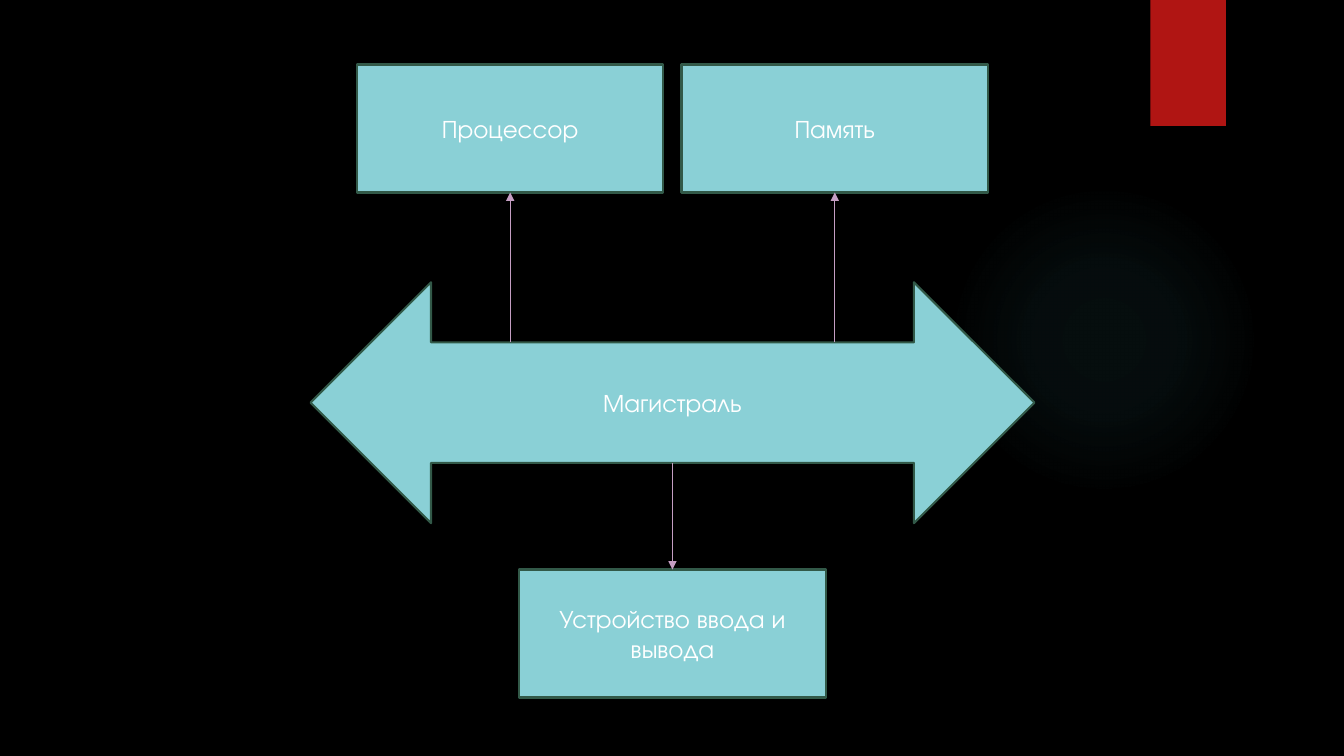
from dataclasses import dataclass

from lxml import etree
from pptx import Presentation
from pptx.dml.color import RGBColor
from pptx.enum.shapes import MSO_CONNECTOR, MSO_SHAPE
from pptx.enum.text import MSO_ANCHOR, PP_ALIGN
from pptx.oxml import parse_xml
from pptx.oxml.ns import nsdecls, qn
from pptx.util import Inches, Pt

RECTANGLE = MSO_SHAPE.RECTANGLE
DOUBLE_ARROW = MSO_SHAPE.LEFT_RIGHT_ARROW
OVAL = MSO_SHAPE.OVAL
STRAIGHT = MSO_CONNECTOR.STRAIGHT
MIDDLE = MSO_ANCHOR.MIDDLE
CENTER = PP_ALIGN.CENTER

COLORS = {
    "background": "000000",
    "glow": "50B9C1",
    "ribbon": "B01513",
    "block": "8AD0D6",
    "outline": "325948",
    "link": "C59EC3",
    "text": "FFFFFF",
}
FONT = "TeX Gyre Adventor"

BOX_WIDTH, BOX_HEIGHT = 3.04, 1.27
TOP_ROW, BOTTOM_ROW = 0.64, 5.65
BUS_TOP, BUS_HEIGHT = 2.8, 2.39


@dataclass
class Block:
    text: str
    left: float
    top: float
    width: float = BOX_WIDTH
    height: float = BOX_HEIGHT
    kind: int = RECTANGLE


@dataclass
class Link:
    x: float
    start: float
    end: float


BLOCKS = [
    Block("Магистраль", 3.08, BUS_TOP, 7.18, BUS_HEIGHT, DOUBLE_ARROW),
    Block("Процессор", 3.54, TOP_ROW),
    Block("Память", 6.76, TOP_ROW),
    Block("Устройство ввода и вывода", 5.15, BOTTOM_ROW),
]

# The shaft of the bus arrow takes the middle half of its height
SHAFT_TOP = BUS_TOP + BUS_HEIGHT / 4
SHAFT_BOTTOM = BUS_TOP + BUS_HEIGHT * 3 / 4
LINKS = [
    Link(5.06, SHAFT_TOP, TOP_ROW + BOX_HEIGHT),
    Link(8.28, SHAFT_TOP, TOP_ROW + BOX_HEIGHT),
    Link(6.67, SHAFT_BOTTOM, BOTTOM_ROW),
]


def color(name: str) -> RGBColor:
    return RGBColor.from_string(COLORS[name])


def add_plain_shape(slide, kind, left: float, top: float, width: float,
                    height: float, fill: str):
    shape = slide.shapes.add_shape(
        kind, Inches(left), Inches(top), Inches(width), Inches(height))
    shape.shadow.inherit = False
    shape.fill.solid()
    shape.fill.fore_color.rgb = color(fill)
    shape.line.fill.background()
    return shape


def write_text(shape, text: str, *, size: float = 18, font: str = FONT,
               fill: str = "text", align=CENTER, anchor=MIDDLE) -> None:
    frame = shape.text_frame
    frame.word_wrap = True
    frame.vertical_anchor = anchor
    paragraph = frame.paragraphs[0]
    paragraph.alignment = align
    run = paragraph.add_run()
    run.text = text
    run.font.size = Pt(size)
    run.font.name = font
    run.font.color.rgb = color(fill)


def add_glow(slide) -> None:
    """Draw the faint circle that fades out towards its edge."""
    shape = add_plain_shape(slide, OVAL, 9.41, 1.83, 3.08, 3.08, "glow")
    stops = "".join(
        f'<a:gs pos="{position * 1000}"><a:srgbClr val="{COLORS["glow"]}">'
        f'<a:alpha val="{alpha * 1000}"/></a:srgbClr></a:gs>'
        for position, alpha in ((0, 7), (36, 6), (69, 0)))
    gradient = parse_xml(
        f'<a:gradFill {nsdecls("a")} rotWithShape="1"><a:gsLst>{stops}</a:gsLst>'
        '<a:path path="circle"><a:fillToRect l="50000" t="50000" r="50000" '
        'b="50000"/></a:path></a:gradFill>')
    properties = shape.element.spPr
    properties.replace(properties.find(qn("a:solidFill")), gradient)


def add_block(slide, block: Block) -> None:
    shape = add_plain_shape(slide, block.kind, block.left, block.top,
                            block.width, block.height, "block")
    shape.line.color.rgb = color("outline")
    shape.line.width = Pt(1.5)
    write_text(shape, block.text)


def add_link(slide, link: Link) -> None:
    connector = slide.shapes.add_connector(
        STRAIGHT, Inches(link.x), Inches(link.start),
        Inches(link.x), Inches(link.end))
    connector.line.color.rgb = color("link")
    connector.line.width = Pt(0.75)
    properties = connector.element.spPr
    etree.SubElement(properties.find(qn("a:ln")), qn("a:tailEnd"), type="triangle")
    etree.SubElement(properties, qn("a:effectLst"))


def main() -> None:
    presentation = Presentation()
    presentation.slide_width = Inches(13.33)
    presentation.slide_height = Inches(7.5)
    slide = presentation.slides.add_slide(presentation.slide_layouts[6])

    # Background, glow and ribbon
    slide.background.fill.solid()
    slide.background.fill.fore_color.rgb = color("background")
    add_glow(slide)
    add_plain_shape(slide, RECTANGLE, 11.41, 0, 0.75, 1.25, "ribbon")

    # Bus diagram
    for block in BLOCKS:
        add_block(slide, block)
    for link in LINKS:
        add_link(slide, link)

    presentation.save("out.pptx")


if __name__ == "__main__":
    main()
